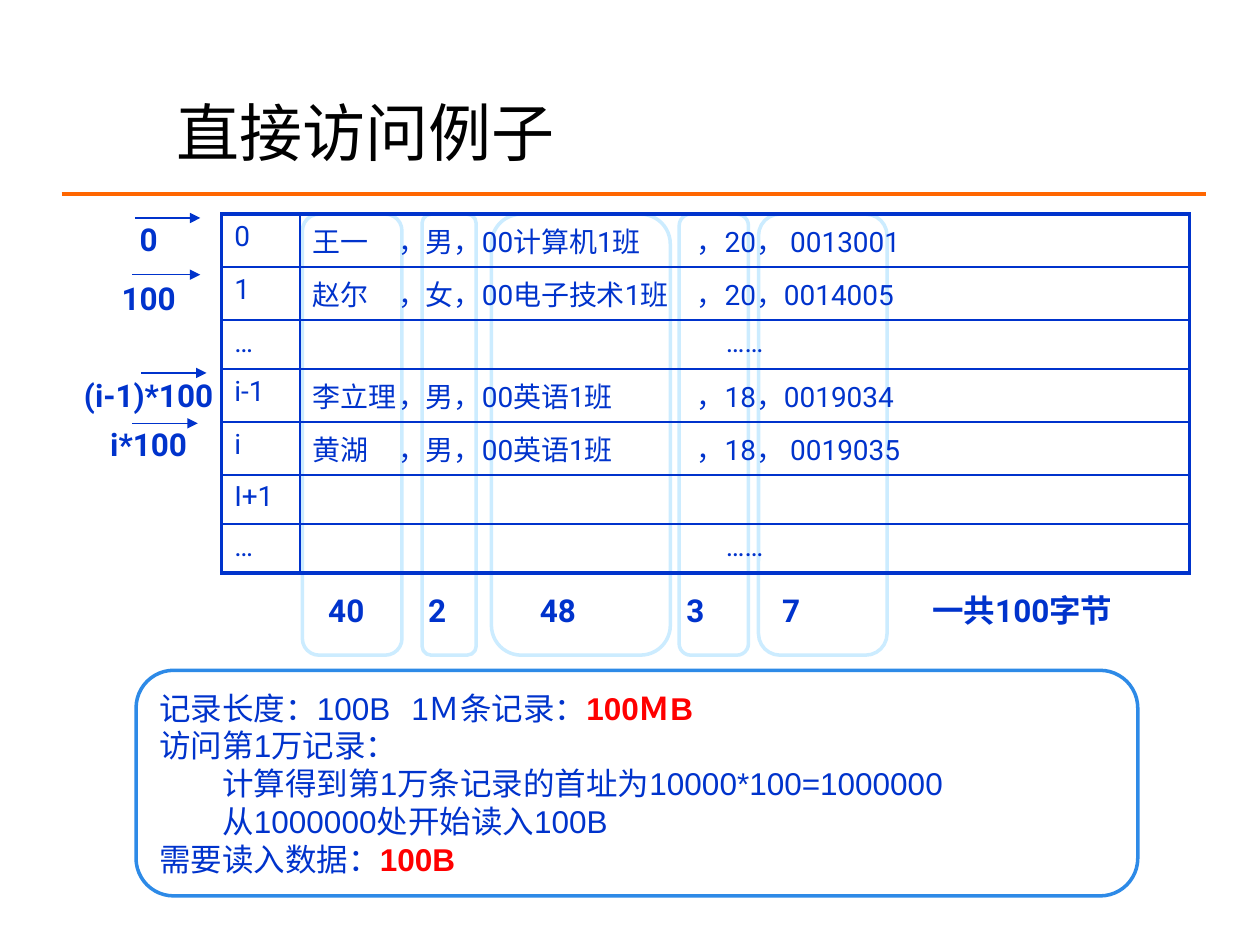
import dataclasses

import lxml.etree
import pptx
import pptx.dml.color
import pptx.enum.shapes
import pptx.enum.text
import pptx.oxml.ns
import pptx.util

SHAPES = pptx.enum.shapes.MSO_SHAPE
ALIGN = pptx.enum.text.PP_ALIGN
ANCHOR = pptx.enum.text.MSO_ANCHOR
qn = pptx.oxml.ns.qn

# The slide is a grid of 100 columns by 75 rows
WIDTH, HEIGHT = pptx.util.Inches(10), pptx.util.Inches(7.5)
COLUMN, ROW = WIDTH / 100, HEIGHT / 75


@dataclasses.dataclass(frozen=True)
class Theme:
    ink: str = "0033CC"
    title: str = "000000"
    rule: str = "FF6600"
    field: str = "CCECFF"
    callout: str = "2D8AE7"
    accent: str = "FF0000"
    paper: str = "FFFFFF"
    heading_font: str = "Arial"
    body_font: str = "Roboto"
    title_size: int = 36
    label_size: int = 18
    cell_size: int = 16


THEME = Theme()


@dataclasses.dataclass(frozen=True)
class Box:
    """A region in grid columns and rows."""
    left: float
    top: float
    width: float
    height: float

    def emu(self):
        return (cols(self.left), rows(self.top), cols(self.width), rows(self.height))


def cols(count):
    return int(count * COLUMN)


def rows(count):
    return int(count * ROW)


def rgb(color):
    return pptx.dml.color.RGBColor.from_string(color)


def set_font(font, name, size, color, bold=False):
    font.name, font.size, font.bold = name, pptx.util.Pt(size), bold
    font.color.rgb = rgb(color)


def add_tabs(paragraph, stops):
    """Add tab stops given as (columns, alignment)."""
    properties = paragraph._p.get_or_add_pPr()
    tabs = lxml.etree.Element(qn("a:tabLst"))
    for position, align in stops:
        lxml.etree.SubElement(tabs, qn("a:tab"), pos=str(cols(position)), algn=align)
    default_font = properties.find(qn("a:defRPr"))
    if default_font is None:
        properties.append(tabs)
    else:
        default_font.addprevious(tabs)


def add_line(slide, left, right, top, color, width, arrow=False):
    line = slide.shapes.add_connector(
        pptx.enum.shapes.MSO_CONNECTOR.STRAIGHT, cols(left), rows(top), cols(right), rows(top))
    line.line.color.rgb = rgb(color)
    line.line.width = pptx.util.Pt(width)
    if arrow:
        lxml.etree.SubElement(line.line._get_or_add_ln(), qn("a:tailEnd"), type="triangle")
    lxml.etree.SubElement(line._element.spPr, qn("a:effectLst"))


def add_round_box(slide, box, color):
    shape = slide.shapes.add_shape(SHAPES.ROUNDED_RECTANGLE, *box.emu())
    shape.shadow.inherit = False
    shape.fill.solid()
    shape.fill.fore_color.rgb = rgb(THEME.paper)
    shape.line.color.rgb = rgb(color)
    shape.line.width = pptx.util.Pt(2)
    return shape


def add_text_frame(slide, box):
    frame = slide.shapes.add_textbox(*box.emu()).text_frame
    frame.word_wrap = True
    return frame


def add_title(slide, box):
    frame = add_text_frame(slide, box)
    frame.vertical_anchor = ANCHOR.MIDDLE
    heading = frame.paragraphs[0]
    heading.text = "直接访问例子"
    set_font(heading.font, THEME.heading_font, THEME.title_size, THEME.title)
    # Rule under the title
    add_line(slide, 4.9, 95.7, box.top + 8.2, THEME.rule, 2.25)


def add_offsets(slide, box):
    """Start address of each record, with an arrow to its row."""
    frame = add_text_frame(slide, box)
    offsets = [("0", 0), ("100", 12), ("(i-1)*100", 34), ("i*100", 6)]
    for index, (address, gap) in enumerate(offsets):
        label = frame.add_paragraph() if index else frame.paragraphs[0]
        label.text = address
        label.alignment = ALIGN.CENTER
        label.space_before = pptx.util.Pt(gap)
        set_font(label.font, THEME.body_font, THEME.label_size, THEME.ink, True)
    for start, end, down in [(6.6, 11.8, 0.3), (6.4, 11.8, 4.8), (7.1, 12.3, 12.6), (6.4, 11.6, 16.6)]:
        add_line(slide, box.left + start, box.left + end, box.top + down, THEME.ink, 0.75, True)


def add_fields(slide, box):
    """One tall frame behind each field of the records."""
    for offset, width in [(0, 7.9), (9.5, 4.3), (15, 14.2), (29.9, 5.5), (36.2, 10.2)]:
        add_round_box(slide, Box(box.left + offset, box.top, width, box.height), THEME.field)


def set_borders(cell, widths):
    properties = cell._tc.get_or_add_tcPr()
    for position, (side, width) in enumerate(widths.items()):
        border = lxml.etree.Element(qn(f"a:ln{side}"), w=str(pptx.util.Pt(width)))
        fill = lxml.etree.SubElement(border, qn("a:solidFill"))
        lxml.etree.SubElement(fill, qn("a:srgbClr"), val=THEME.ink)
        properties.insert(position, border)


def add_records(slide, box):
    records = [
        ("0", "王一\t，男，00计算机1班\t，20， 0013001"),
        ("1", "赵尔\t，女，00电子技术1班\t，20，0014005"),
        ("…", "……"),
        ("i-1", "李立理\t，男，00英语1班\t，18，0019034"),
        ("i", "黄湖\t，男，00英语1班\t，18， 0019035"),
        ("I+1", ""),
        ("…", "……"),
    ]
    table = slide.shapes.add_table(len(records), 2, *box.emu()).table
    table.first_row = table.horz_banding = False
    table.columns[0].width, table.columns[1].width = cols(6.2), cols(box.width - 6.2)
    last = len(records) - 1
    for row, record in enumerate(records):
        table.rows[row].height = rows(4.2 if "\t" in record[1] else 3.9)
        for column, content in enumerate(record):
            cell = table.cell(row, column)
            cell.fill.background()
            entry = cell.text_frame.paragraphs[0]
            entry.text = content
            set_font(entry.font, THEME.body_font, THEME.cell_size, THEME.ink)
            if column and content == "……":
                entry.alignment = ALIGN.CENTER
            elif "\t" in content:
                add_tabs(entry, [(6.8, "l"), (30.5, "l")])
            # Thick outer frame, thin inner lines
            outer = {"L": column == 0, "R": column == 1, "T": row == 0, "B": row == last}
            set_borders(cell, {side: 2.25 if edge else 1 for side, edge in outer.items()})


def add_field_sizes(slide, box):
    """Bytes of each field, centred under it, and the total."""
    sizes = add_text_frame(slide, box).paragraphs[0]
    sizes.text = "\t40\t2\t48\t3\t7\t一共100字节"
    set_font(sizes.font, THEME.body_font, THEME.label_size, THEME.ink, True)
    centres = [(centre, "ctr") for centre in (8.8, 16, 25.6, 36.5, 44.1)]
    add_tabs(sizes, centres + [(55.3, "l")])


def add_calculation(slide, box):
    frame = add_round_box(slide, box, THEME.callout).text_frame
    frame.word_wrap = True
    frame.vertical_anchor = ANCHOR.MIDDLE
    # Each line is plain text followed by a highlighted result
    steps = [
        ("记录长度：100B\t1Ｍ条记录：", "100ＭB"),
        ("访问第1万记录：", ""),
        ("\t计算得到第1万条记录的首址为10000*100=1000000", ""),
        ("\t从1000000处开始读入100B", ""),
        ("需要读入数据：", "100B"),
    ]
    for index, (plain, result) in enumerate(steps):
        step = frame.add_paragraph() if index else frame.paragraphs[0]
        step.alignment = ALIGN.LEFT
        set_font(step.font, THEME.heading_font, THEME.label_size, THEME.ink)
        for content, color in ((plain, THEME.ink), (result, THEME.accent)):
            if content:
                run = step.add_run()
                run.text = content
                run.font.color.rgb = rgb(color)
                run.font.bold = color == THEME.accent


def main():
    deck = pptx.Presentation()
    deck.slide_width, deck.slide_height = WIDTH, HEIGHT
    slide = deck.slides.add_slide(deck.slide_layouts[6])
    add_title(slide, Box(13, 7.2, 72.6, 6.4))
    add_offsets(slide, Box(4.1, 17, 15.4, 20.4))
    add_fields(slide, Box(24, 17, 46.4, 35))
    add_records(slide, Box(17.6, 17, 76.8, 28.5))
    add_field_sizes(slide, Box(17.7, 46.4, 79.5, 4.1))
    add_calculation(slide, Box(10.8, 53.2, 79.5, 17.9))
    deck.save("out.pptx")


if __name__ == "__main__":
    main()
